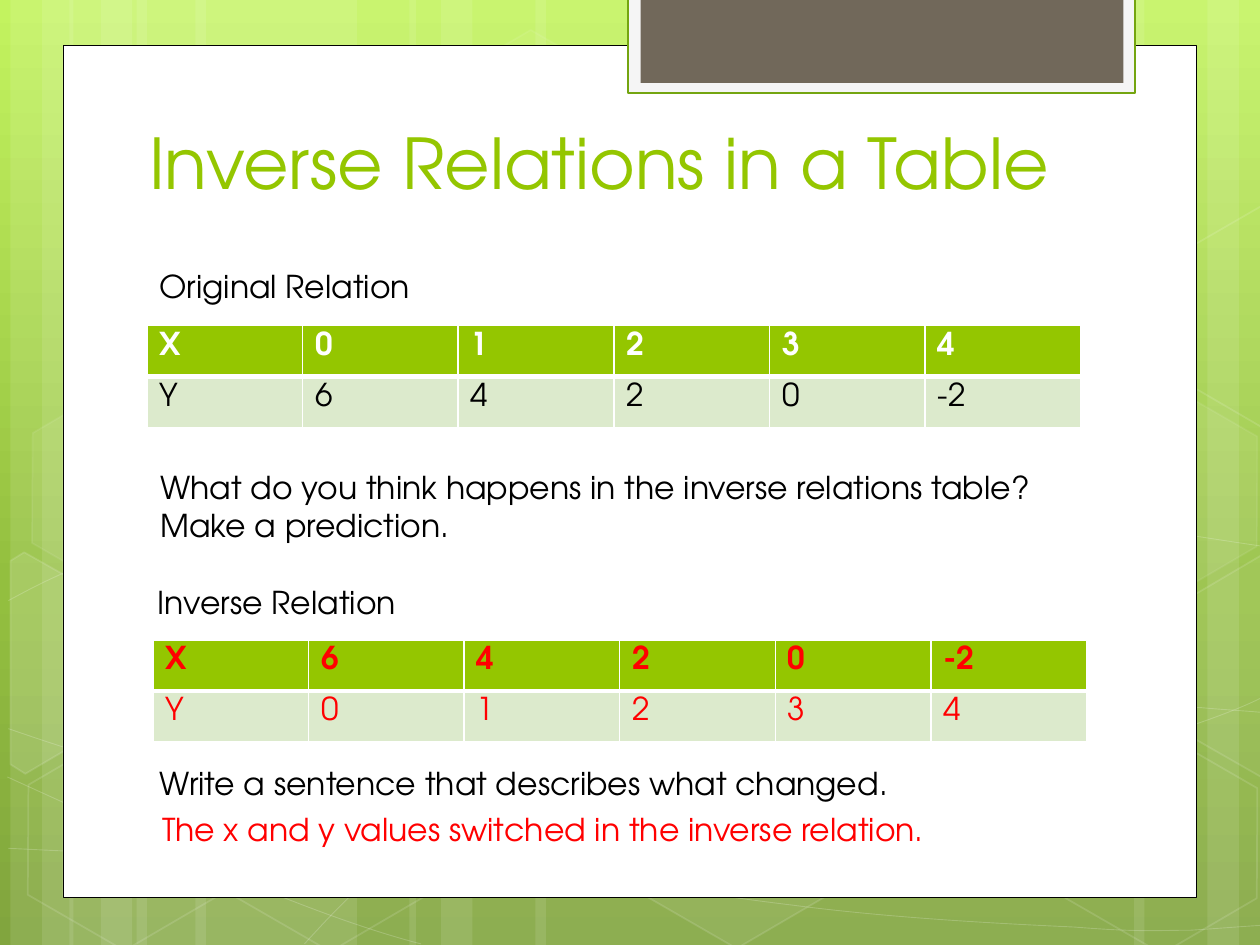
from copy import deepcopy
from math import cos, radians, sin

from lxml import etree
from pptx import Presentation
from pptx.dml.color import RGBColor
from pptx.enum.shapes import MSO_SHAPE
from pptx.enum.text import MSO_ANCHOR, MSO_AUTO_SIZE, PP_ALIGN
from pptx.oxml.ns import qn
from pptx.util import Inches, Pt

RECTANGLE, HEXAGON = MSO_SHAPE.RECTANGLE, MSO_SHAPE.HEXAGON
BOTTOM, LEFT = MSO_ANCHOR.BOTTOM, PP_ALIGN.LEFT
NO_FIT, GROW = MSO_AUTO_SIZE.NONE, MSO_AUTO_SIZE.SHAPE_TO_FIT_TEXT

COLORS = {
    "white": "FFFFFF", "black": "000000", "answer": "FF0000",
    "accent": "94C600", "row": "DCEACC", "tab": "71685A",
    "tab_frame": "F5F5F5", "tab_edge": "74A510",
    "sky": "C3F35F", "meadow": "93BF3F", "ground": "81A53E",
}
FONT = "TeX Gyre Adventor"
COLUMNS, ROWS = 120, 90
SLIDE_WIDTH, SLIDE_HEIGHT = Inches(10), Inches(7.5)
COLUMN, ROW = SLIDE_WIDTH / COLUMNS, SLIDE_HEIGHT / ROWS
TILT = 30

STRIPES = [(13, 21), (1, 6), (4, 10), (18.6, 21), (6.6, 6), (9.6, 10),
           (88, 21), (115, 6), (108, 10), (51, 37), (39, 6), (42, 10)]
CURVES = [
    [(0.8, 80.8), (7.3, 81.1), (13.8, 81.5), (22.8, 81.4), (31.8, 81.2),
     (43, 81), (55, 79.8), (67, 78.6), (84, 76.3), (95, 74),
     (106, 71.8), (117.2, 68.2), (120.8, 66.1)],
    [(0.8, 57.2), (4.3, 55.3), (7.8, 53.5), (14.5, 51.7), (21.4, 49.9),
     (31.1, 47.3), (41.6, 46.4), (52.3, 45.6), (65.3, 45.5), (78.5, 46.4),
     (91.7, 47.4), (113.6, 51.1), (120.8, 52.1)],
    [(0.7, 74), (15.2, 80.6), (29.6, 87.2), (40.1, 89.9)],
    [(0.8, 69.4), (4.6, 70.7), (8.4, 72), (15.4, 73.9), (22.3, 75.7),
     (32.8, 78.7), (42.8, 80.8), (52.8, 82.8), (65.4, 85), (75.4, 86.2),
     (85.3, 87.5), (96, 88), (102.4, 88.3), (108.6, 88.8), (110.3, 88.6),
     (113.4, 88.6), (116.5, 88.4), (118.7, 88.2), (120.8, 88.1)],
    [(29, 89.9), (31.2, 87.5), (33.4, 85.1), (36.2, 82.9), (39.1, 80.8),
     (43.2, 78.4), (46.6, 76.7), (50, 75), (52, 74.3), (56.4, 73.1),
     (60.7, 71.9), (68.8, 70.2), (73, 69.4), (77.3, 68.5), (77.9, 68.5),
     (81.6, 68.3), (85.3, 67.9), (91.2, 67.6), (95.3, 67.4), (99.5, 67.3),
     (106.3, 67.4), (106.3, 67.4), (109, 67.4), (111.7, 67.4), (114.4, 67.4),
     (116.5, 67.6), (118.6, 67.7), (120.7, 67.9)],
]
HEXAGONS = [(40.1, 4.3, 4, 8), (59.6, 70.7, 6, 12), (1.3, 70.9, 0, 12),
            (1.7, 37.4, 7, 8), (20.9, 71, 0, 12),
            (100.1, 71.2, 0, 12), (100.1, 37.7, 7, 8)]
CUT_HEXAGONS = [
    ([(1, 53.4), (2.3, 52.6), (11.5, 57.8), (11.4, 68.4), (2.4, 73.7),
      (1, 72.8)], (4.3, 64.2), 10),
    ([(111.1, 58.2), (120.1, 52.9), (121.1, 53.5), (121.1, 73.6),
      (120.2, 74), (111.1, 68.8)], (118.2, 62.4), 4),
    ([(111.1, 24.8), (120.1, 19.6), (121.2, 20.2), (121.1, 40.2),
      (120.2, 40.7), (111.1, 35.4)], (118.2, 28.9), 0),
]


def rgb(name):
    return RGBColor.from_string(COLORS[name])


def place(box):
    left, top, width, height = box
    return (round(left * COLUMN), round(top * ROW),
            round(width * COLUMN), round(height * ROW))


def fade(parent, percent):
    for color in parent.findall(f"{qn('a:solidFill')}/{qn('a:srgbClr')}"):
        etree.SubElement(color, qn("a:alpha"), val=str(percent * 1000))


def paint(shape, fill=None, fill_alpha=100, line=None, weight=1, line_alpha=100):
    shape.shadow.inherit = False
    if fill and fill_alpha:
        shape.fill.solid()
        shape.fill.fore_color.rgb = rgb(fill)
        if fill_alpha < 100:
            fade(shape.element.spPr, fill_alpha)
    else:
        shape.fill.background()
    if line:
        shape.line.color.rgb = rgb(line)
        shape.line.width = Pt(weight)
        if line_alpha < 100:
            fade(shape.element.spPr.find(qn("a:ln")), line_alpha)
    else:
        shape.line.fill.background()


def add_rectangle(slide, box, **style):
    paint(slide.shapes.add_shape(RECTANGLE, *place(box)), **style)


def add_outline(slide, points, close):
    corners = [(round(x * COLUMN), round(y * ROW)) for x, y in points]
    builder = slide.shapes.build_freeform(*corners[0])
    builder.add_line_segments(corners[1:], close=close)
    return builder.convert_to_shape()


def add_curve(slide, knots):
    curve = add_outline(slide, knots, False)
    segments = list(curve.element.iter(qn("a:lnTo")))
    for start in range(0, len(segments), 3):
        bend = etree.Element(qn("a:cubicBezTo"))
        segments[start].addprevious(bend)
        for segment in segments[start:start + 3]:
            bend.append(segment[0])
            segment.getparent().remove(segment)
    return curve


def rotate(point, center, degrees):
    angle = radians(degrees)
    x, y = point[0] - center[0], point[1] - center[1]
    return (center[0] + x * cos(angle) - y * sin(angle),
            center[1] + x * sin(angle) + y * cos(angle))


def add_background(slide):
    fill = slide.background.fill
    fill.gradient()
    fill.gradient_angle = 270
    stop_list = next(slide.element.iter(qn("a:gsLst")))
    stop_list.insert(1, deepcopy(stop_list[0]))
    for stop, (name, position) in zip(
            fill.gradient_stops, [("sky", 0), ("meadow", 0.62), ("ground", 1)]):
        stop.color.rgb = rgb(name)
        stop.position = position


def add_backdrop(slide):
    for left, width in STRIPES:
        add_rectangle(slide, (left, 0, width, ROWS), fill="white", fill_alpha=10)
    for knots in CURVES:
        paint(add_curve(slide, knots), line="white", weight=0.5, line_alpha=20)
    for left, top, fill_alpha, line_alpha in HEXAGONS:
        hexagon = slide.shapes.add_shape(HEXAGON, *place((left, top, 21, 18.2)))
        hexagon.adjustments[0] = 0.285
        hexagon.rotation = TILT
        paint(hexagon, "white", fill_alpha, "white", 1, line_alpha)
    for corners, center, fill_alpha in CUT_HEXAGONS:
        upright = [rotate(corner, center, -TILT) for corner in corners]
        cut_hexagon = add_outline(slide, upright, True)
        cut_hexagon.rotation = TILT
        paint(cut_hexagon, "white", fill_alpha, "white", 1, 12)


def add_card(slide):
    add_rectangle(slide, (6, 4.3, 108, 81.2), fill="white", line="black", weight=0.5)
    add_rectangle(slide, (59.8, -0.2, 48.3, 9.1), fill="tab_frame",
                  line="tab_edge", weight=1.25)
    add_rectangle(slide, (61, -0.2, 46, 8.1), fill="tab")


def style_text(paragraph, size, color, bold=False):
    paragraph.alignment = LEFT
    paragraph.font.name = FONT
    paragraph.font.size = Pt(size)
    paragraph.font.bold = bold
    paragraph.font.color.rgb = rgb(color)


def add_title(slide, box, wording):
    title = slide.shapes.title
    title.element.getparent().append(title.element)
    title.left, title.top, title.width, title.height = place(box)
    frame = title.text_frame
    frame.text = wording
    frame.vertical_anchor = BOTTOM
    frame.auto_size = NO_FIT
    style_text(frame.paragraphs[0], 40, "accent")


def add_text(slide, box, wording, color="black", wrap=True):
    frame = slide.shapes.add_textbox(*place(box)).text_frame
    frame.word_wrap = wrap
    frame.auto_size = GROW
    frame.text = wording
    for paragraph in frame.paragraphs:
        style_text(paragraph, 18, color)


def add_borders(cell, **weights):
    properties = cell._tc.get_or_add_tcPr()
    for index, side in enumerate(("L", "R", "T", "B")):
        edge = etree.Element(qn(f"a:ln{side}"), w=str(Pt(weights.get(side, 1))))
        solid = etree.SubElement(edge, qn("a:solidFill"))
        etree.SubElement(solid, qn("a:srgbClr"), val=COLORS["white"])
        properties.insert(index, edge)


def add_relation(slide, box, values, header_color, body_color):
    table = slide.shapes.add_table(len(values), len(values[0]), *place(box)).table
    looks = [("accent", header_color, True, {"B": 3}),
             ("row", body_color, False, {"T": 3})]
    for row, entries, (fill, color, bold, borders) in zip(table.rows, values, looks):
        for cell, entry in zip(row.cells, entries):
            cell.text = entry
            cell.fill.solid()
            cell.fill.fore_color.rgb = rgb(fill)
            add_borders(cell, **borders)
            style_text(cell.text_frame.paragraphs[0], 18, color, bold)


def main():
    deck = Presentation()
    deck.slide_width, deck.slide_height = SLIDE_WIDTH, SLIDE_HEIGHT
    slide = deck.slides.add_slide(deck.slide_layouts[5])
    add_background(slide)
    add_backdrop(slide)
    add_card(slide)
    add_title(slide, (13, 5, 92.2, 15), "Inverse Relations in a Table")

    inputs, outputs = list("01234"), ["6", "4", "2", "0", "-2"]
    add_relation(slide, (14, 31, 88.95, 9.7),
                 [["X", *inputs], ["Y", *outputs]], "white", "black")
    add_text(slide, (14, 24.8, 26.5, 4.8), "Original Relation", wrap=False)
    add_relation(slide, (14.55, 60.95, 88.95, 9.7),
                 [["X", *outputs], ["Y", *inputs]], "answer", "answer")
    add_text(slide, (13.85, 54.9, 25.4, 4.8), "Inverse Relation", wrap=False)
    add_text(slide, (14.1, 44, 87.4, 8.5),
             "What do you think happens in the inverse relations table?\n"
             "Make a prediction.", wrap=False)
    add_text(slide, (14, 72.15, 95.6, 4.8), "Write a sentence that describes what changed.")
    add_text(slide, (14.25, 76.6, 95.6, 4.8),
             "The x and y values switched in the inverse relation.", "answer")
    deck.save("out.pptx")


if __name__ == "__main__":
    main()
